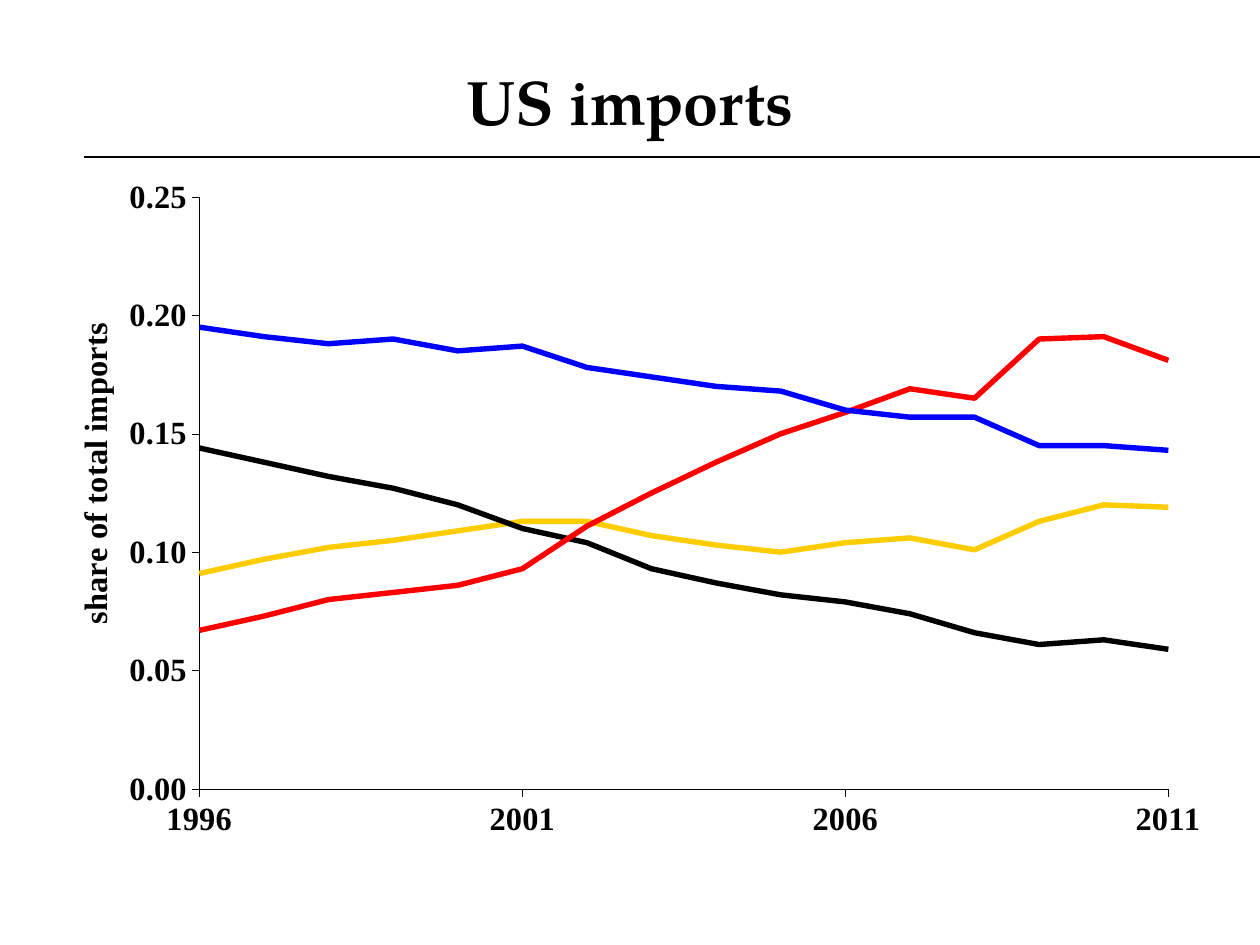
from pptx import Presentation
from pptx.chart.data import XyChartData
from pptx.dml.color import RGBColor
from pptx.enum.chart import XL_CHART_TYPE as ChartType, XL_TICK_MARK as TickMark
from pptx.enum.shapes import MSO_CONNECTOR as Connector
from pptx.enum.text import MSO_ANCHOR as Anchor, PP_ALIGN as Align
from pptx.oxml import parse_xml
from pptx.oxml.ns import nsdecls, qn
from pptx.util import Emu, Pt

PX = 914400 / 126
BLACK = RGBColor(0x00, 0x00, 0x00)
BLUE = RGBColor(0x00, 0x00, 0xFF)
RED = RGBColor(0xFF, 0x00, 0x00)
YELLOW = RGBColor(0xFF, 0xCC, 0x00)
TITLE_FONT = "TeX Gyre Pagella"
CHART_FONT = "Times New Roman"

FIRST_YEAR = 1996
SHARES = [
    ("Series 1", BLUE, [0.195, 0.191, 0.188, 0.19, 0.185, 0.187, 0.178, 0.174,
                        0.17, 0.168, 0.16, 0.157, 0.157, 0.145, 0.145, 0.143]),
    ("Series 2", RED, [0.067, 0.073, 0.08, 0.083, 0.086, 0.093, 0.111, 0.125,
                       0.138, 0.15, 0.159, 0.169, 0.165, 0.19, 0.191, 0.181]),
    ("Series 3", BLACK, [0.144, 0.138, 0.132, 0.127, 0.12, 0.11, 0.104, 0.093,
                         0.087, 0.082, 0.079, 0.074, 0.066, 0.061, 0.063, 0.059]),
    ("Series 4", YELLOW, [0.091, 0.097, 0.102, 0.105, 0.109, 0.113, 0.113, 0.107,
                          0.103, 0.1, 0.104, 0.106, 0.101, 0.113, 0.12, 0.119]),
]


def px(length):
    return Emu(round(length * PX))


def style_font(font, name, size):
    font.name = name
    font.size = Pt(size)
    font.bold = True
    font.color.rgb = BLACK


def add_heading(page, left, top, width, height):
    title = page.shapes.title
    title.left, title.top = px(left), px(top)
    title.width, title.height = px(width), px(height)
    frame = title.text_frame
    frame.text = "US imports"
    frame.vertical_anchor = Anchor.MIDDLE
    para = frame.paragraphs[0]
    para.alignment = Align.CENTER
    style_font(para.font, TITLE_FONT, 36)


def add_rule(page, left, top, width):
    rule = page.shapes.add_connector(
        Connector.STRAIGHT, px(left), px(top), px(left + width), px(top))
    rule.line.color.rgb = BLACK
    rule.line.width = Pt(0.75)
    rule.element.spPr.append(parse_xml(f"<a:effectLst {nsdecls('a')}/>"))


def set_layout(parent, index, target="", **fractions):
    old = parent.find(qn("c:layout"))
    if old is not None:
        parent.remove(old)
    inner = f'<c:layoutTarget val="{target}"/>' if target else ""
    modes = "".join(f'<c:{key}Mode val="edge"/>' for key in "xy")
    values = "".join(f'<c:{key} val="{value}"/>' for key, value in fractions.items())
    parent.insert(index, parse_xml(
        f"<c:layout {nsdecls('c')}><c:manualLayout>{inner}{modes}{values}"
        "</c:manualLayout></c:layout>"))


def style_axis(axis, low, high, step, number_format):
    axis.minimum_scale, axis.maximum_scale = low, high
    axis.major_unit = step
    axis.has_major_gridlines = False
    axis.major_tick_mark = TickMark.OUTSIDE
    axis.minor_tick_mark = TickMark.NONE
    axis.format.line.color.rgb = BLACK
    axis.format.line.width = Pt(0.25)
    axis.tick_labels.number_format = number_format
    axis.tick_labels.number_format_is_linked = False
    style_font(axis.tick_labels.font, CHART_FONT, 18.5)


def add_axis_title(axis, text):
    title = axis.axis_title
    title.text_frame.text = text
    style_font(title.text_frame.paragraphs[0].font, CHART_FONT, 18.5)
    body = title.element.find(".//" + qn("a:bodyPr"))
    body.set("rot", "-5400000")
    body.set("vert", "horz")
    set_layout(title.element, 1, x=0.025, y=0.228)


def add_share_chart(page, left, top, width, height):
    data = XyChartData()
    for name, color, values in SHARES:
        series = data.add_series(name)
        for year, value in enumerate(values, FIRST_YEAR):
            series.add_data_point(year, value)
    chart = page.shapes.add_chart(
        ChartType.XY_SCATTER_LINES_NO_MARKERS,
        px(left), px(top), px(width), px(height), data).chart
    chart.has_legend = False
    chart.has_title = False
    style_font(chart.font, CHART_FONT, 18.5)
    plot = chart.plots[0]
    plot.vary_by_categories = False
    for series, (name, color, values) in zip(plot.series, SHARES):
        series.format.line.color.rgb = color
        series.format.line.width = Pt(3.08)
    style_axis(chart.category_axis, FIRST_YEAR, 2011, 5, "General")
    style_axis(chart.value_axis, 0, 0.25, 0.05, "#,##0.00")
    add_axis_title(chart.value_axis, "share of total imports")
    plot_area = chart.element.find(".//" + qn("c:plotArea"))
    set_layout(plot_area, 0, "inner", x=0.136, y=0.067, w=0.822, h=0.794)


def main():
    deck = Presentation()
    deck.slide_width, deck.slide_height = px(1260), px(945)
    page = deck.slides.add_slide(deck.slide_layouts[5])
    add_rule(page, 84, 157, 1176)
    add_heading(page, 63, 42, 1134, 116)
    add_share_chart(page, 39, 147, 1179, 746)
    deck.save("out.pptx")


if __name__ == "__main__":
    main()
